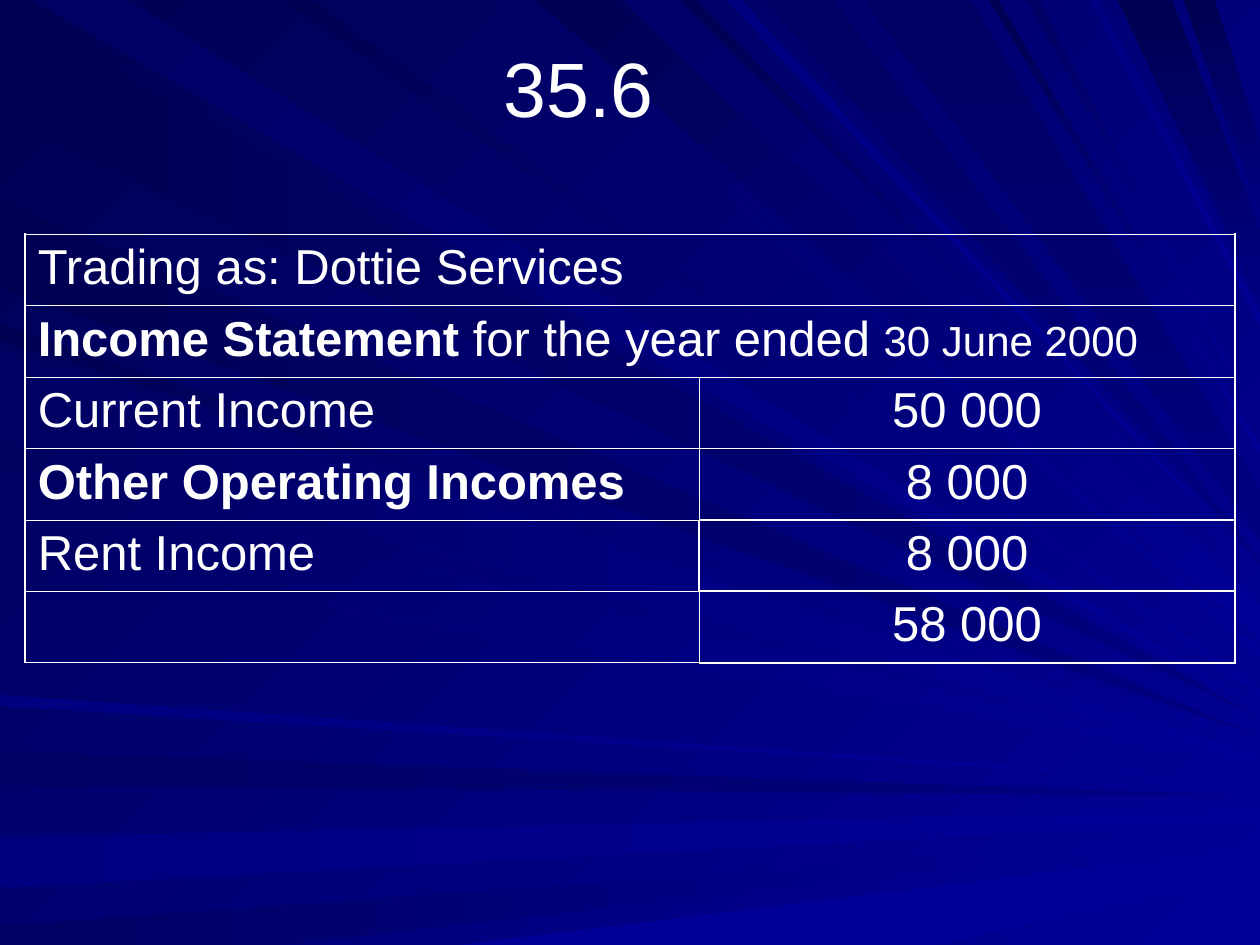
"""Build the income statement slide 35.6 on a background of blue light rays."""
from lxml import etree
from pptx import Presentation
from pptx import util as u
from pptx.dml.color import RGBColor
from pptx.enum import text
from pptx.oxml import ns

SCALE = 9144
WIDTH, HEIGHT = 1000, 750
FONT = "Arial"
WHITE = RGBColor.from_string("FFFFFF")
BLUE = RGBColor.from_string("000099")
NAVY = RGBColor.from_string("000080")
DIM = RGBColor.from_string("000062")
DEEP = RGBColor.from_string("000053")
LEFT, UP_LEFT, DOWN = 180, 135, 270
OUTER, INNER, BOXED = 1.08, 0.45, 1.47
ROW_COUNT = 6

LEFT_RAYS = [
    (NAVY, DEEP, LEFT, 2, 93, 570),
    (NAVY, DIM, LEFT, 596, 623, 632),
    (BLUE, NAVY, LEFT, 665, 704, 643, 651),
    (BLUE, DIM, LEFT, 735, 775, 662),
    (BLUE, DEEP, UP_LEFT, 258, 270, 589),
    (NAVY, DEEP, LEFT, 159, 228, 585),
    (BLUE, DIM, UP_LEFT, 278, 342, 600),
    (BLUE, DIM, UP_LEFT, 374, 437, 606),
    (BLUE, NAVY, LEFT, 552, 560, 622),
    (BLUE, DIM, LEFT, 283, 347, 601, 606),
]
TOP_RAYS = [
    (BLUE, DIM, UP_LEFT, 26, 101, 563),
    (BLUE, DIM, UP_LEFT, 398, 416, 515, 521),
    (BLUE, DEEP, UP_LEFT, 426, 492, 479, 507),
    (BLUE, DEEP, UP_LEFT, 540, 552, 463),
    (DIM, NAVY, DOWN, 606, 661, 446),
    (DEEP, NAVY, DOWN, 887, 930, 183, 237),
    (DEEP, NAVY, DOWN, 939, 964, 114, 167),
    (BLUE, DEEP, UP_LEFT, 225, 247, 547, 552),
    (BLUE, NAVY, UP_LEFT, 577, 588, 454),
    (DIM, NAVY, DOWN, 686, 770, 390, 428),
    (BLUE, DEEP, UP_LEFT, 785, 792, 354, 360),
    (BLUE, DIM, UP_LEFT, 815, 824, 336),
    (BLUE, NAVY, UP_LEFT, 865, 872, 249, 258),
]

STATEMENT = [
    [[("Trading as: Dottie Services", 28, False)]],
    [[("Income Statement", 28, True), (" for the year ended ", 28, False),
      ("30 June 2000", 24, False)]],
    [[("Current Income", 28, False)], [("50 000", 28, False)]],
    [[("Other Operating Incomes", 28, True)], [("8 000", 28, False)]],
    [[("Rent Income", 28, False)], [("8 000", 28, False)]],
    [[], [("58 000", 28, False)]],
]
BOXED_SIDES = {(3, 1): "B", (4, 0): "R", (4, 1): "LRTB", (5, 1): "TB"}


def px(length):
    """Turn px into EMU."""
    return u.Emu(length * SCALE)


def paint(fill, start, end, angle):
    """Fill with a gradient of two colours."""
    fill.gradient()
    fill.gradient_angle = angle
    for stop, colour in zip(fill.gradient_stops, (start, end)):
        stop.color.rgb = colour


def add_ray(slide, corners, start, end, angle):
    """Draw one ray of light as a closed outline."""
    outline = slide.shapes.build_freeform(*corners[0], scale=SCALE)
    outline.add_line_segments(corners[1:], close=True)
    ray = outline.convert_to_shape()
    ray.shadow.inherit = False
    ray.line.fill.background()
    paint(ray.fill, start, end, angle)


def add_rays(slide):
    """Draw the rays that run from the left and top edges to the right edge."""
    for start, end, angle, upper, lower, *far in LEFT_RAYS:
        tip = [(WIDTH, y) for y in reversed(far)]
        add_ray(slide, [(0, upper), (0, lower), *tip], start, end, angle)
    glow = [(364, HEIGHT), (742, HEIGHT), (WIDTH, 694), (WIDTH, 672)]
    add_ray(slide, glow, BLUE, BLUE, LEFT)
    for start, end, angle, near, beyond, *far in TOP_RAYS:
        tip = [(WIDTH, y) for y in far]
        add_ray(slide, [(near, 0), (beyond, 0), *tip], start, end, angle)


def add_run(paragraph, words, size, bold=False):
    """Add one white run to a paragraph."""
    run = paragraph.add_run()
    run.text = words
    run.font.name = FONT
    run.font.size = u.Pt(size)
    run.font.bold = bold
    run.font.color.rgb = WHITE


def add_title(slide, words):
    """Add the exercise number, indented within its box."""
    title = slide.shapes.add_textbox(px(254), px(27), px(372), px(84))
    title.text_frame.word_wrap = True
    title.text_frame.auto_size = text.MSO_AUTO_SIZE.SHAPE_TO_FIT_TEXT
    paragraph = title.text_frame.paragraphs[0]
    paragraph._p.get_or_add_pPr().set("marL", str(px(136)))
    add_run(paragraph, words, 44)


def draw_borders(cell, widths):
    """Draw white cell borders with a width in points for each side."""
    properties = cell._tc.get_or_add_tcPr()
    for side, width in widths.items():
        line = etree.SubElement(properties, ns.qn(f"a:ln{side}"), w=str(u.Pt(width)))
        solid = etree.SubElement(line, ns.qn("a:solidFill"))
        etree.SubElement(solid, ns.qn("a:srgbClr"), val=str(WHITE))


def border_widths(row, column, last_column):
    """Return the widths: heavier outside, heaviest around the rent amount."""
    outside = {"L": column == 0, "R": last_column,
               "T": row == 0, "B": row == ROW_COUNT - 1}
    boxed = BOXED_SIDES.get((row, column), "")
    return {side: BOXED if side in boxed else OUTER if edge else INNER
            for side, edge in outside.items()}


def add_statement(slide):
    """Add the income statement table."""
    frame = slide.shapes.add_table(ROW_COUNT, 2, px(20), px(186), px(960), px(340))
    table = frame.table
    table.first_row = table.horz_banding = False
    for column, width in zip(table.columns, (535, 425)):
        column.width = px(width)
    for row, entries in enumerate(STATEMENT):
        if len(entries) == 1:
            table.cell(row, 0).merge(table.cell(row, 1))
        for column, runs in enumerate(entries):
            cell = table.cell(row, column)
            draw_borders(cell, border_widths(row, column, column == len(entries) - 1))
            cell.fill.background()
            paragraph = cell.text_frame.paragraphs[0]
            if column:
                paragraph.alignment = text.PP_ALIGN.CENTER
            for words, size, bold in runs:
                add_run(paragraph, words, size, bold)


def main():
    """Build and save the slide."""
    deck = Presentation()
    deck.slide_width, deck.slide_height = px(WIDTH), px(HEIGHT)
    slide = deck.slides.add_slide(deck.slide_layouts[6])
    paint(slide.background.fill, BLUE, DEEP, UP_LEFT)
    add_rays(slide)
    add_statement(slide)
    add_title(slide, "35.6")
    deck.save("out.pptx")


if __name__ == "__main__":
    main()
